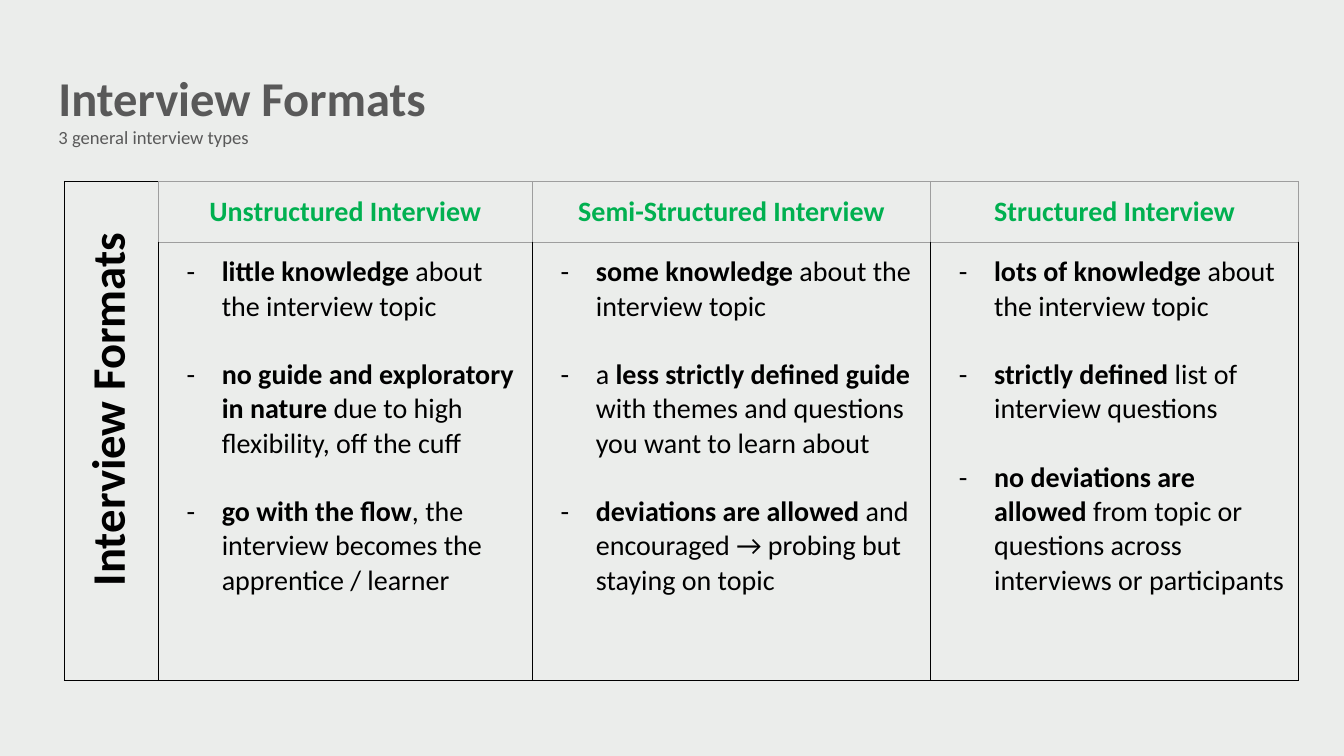
from dataclasses import dataclass

from lxml.etree import SubElement
from pptx import Presentation
from pptx.dml.color import RGBColor
from pptx.enum.text import MSO_ANCHOR, PP_ALIGN
from pptx.oxml.ns import qn
from pptx.util import Pt

PX = 9144  # EMU in one px, 100 px to the inch
GREY, BLACK, GREEN, TITLE = "9E9E9E", "000000", "00B050", "595959"
PAD = 13
GAP = 24.4  # one line of 20 pt text


@dataclass
class Column:
    width: int
    head: str
    points: list[str]  # bold parts stand between asterisks


COLUMNS = [
    Column(371, "Unstructured Interview", [
        "*little knowledge* about the interview topic",
        "*no guide and exploratory in nature* due to high flexibility, off the cuff",
        "*go with the flow*, the interview becomes the apprentice / learner",
    ]),
    Column(395, "Semi-Structured Interview", [
        "*some knowledge* about the interview topic",
        "a *less strictly defined guide* with themes and questions you want to learn about",
        "*deviations are allowed* and encouraged → probing but staying on topic",
    ]),
    Column(365, "Structured Interview", [
        "*lots of knowledge* about the interview topic",
        "*strictly defined* list of interview questions",
        "*no deviations are allowed *from topic or questions across interviews or participants",
    ]),
]


def px(count: int) -> int:
    return count * PX


def tint(code: str) -> RGBColor:
    return RGBColor.from_string(code)


def write(frame, text: str, size: float = 20, color: str = BLACK, first: bool = True,
          align=PP_ALIGN.LEFT, bullet: bool = False, before: float = 0) -> None:
    """Write one paragraph; text between asterisks is bold."""
    para = frame.paragraphs[0] if first else frame.add_paragraph()
    para.alignment = align
    para.space_before = Pt(before)
    if bullet:
        props = para._p.get_or_add_pPr()
        props.set("marL", str(px(50)))
        props.set("indent", str(px(-35)))
        SubElement(props, qn("a:buFont"), typeface="Calibri")
        SubElement(props, qn("a:buChar"), char="-")
    for index, part in enumerate(text.split("*")):
        if part:
            run = para.add_run()
            run.text = part
            run.font.name = "Calibri"
            run.font.size = Pt(size)
            run.font.bold = index % 2 == 1
            run.font.color.rgb = tint(color)


def pad(frame, side: int, end: int) -> None:
    frame.margin_left = frame.margin_right = px(side)
    frame.margin_top = frame.margin_bottom = px(end)


def add_box(slide, left: int, top: int, width: int, height: int, end: int = PAD):
    box = slide.shapes.add_textbox(px(left), px(top), px(width), px(height))
    box.text_frame.word_wrap = True
    pad(box.text_frame, PAD, end)
    return box


def style(cell, left: str, right: str, top: str, base: str) -> None:
    """Border a cell in the four colours and leave it unfilled."""
    props = cell._tc.get_or_add_tcPr()
    for side, color in zip("LRTB", (left, right, top, base)):
        width = Pt(0.75 if color == GREY else 1)
        line = SubElement(props, qn(f"a:ln{side}"), w=str(width))
        SubElement(SubElement(line, qn("a:solidFill")), qn("a:srgbClr"), val=color)
    cell.fill.background()


def add_grid(slide) -> None:
    widths = [93] + [col.width for col in COLUMNS]
    heights = [60, 435]
    table = slide.shapes.add_table(len(heights), len(widths), px(64), px(180),
                                   px(sum(widths)), px(sum(heights))).table
    table.first_row = table.horz_banding = False
    for col, width in zip(table.columns, widths):
        col.width = px(width)
    for row, height in zip(table.rows, heights):
        row.height = px(height)

    # Side cell across both rows
    style(table.cell(0, 0), BLACK, GREY, BLACK, BLACK)
    style(table.cell(1, 0), BLACK, BLACK, GREY, BLACK)
    table.cell(0, 0).merge(table.cell(1, 0))

    # Headings and points
    for index, col in enumerate(COLUMNS, 1):
        head, body = table.cell(0, index), table.cell(1, index)
        style(head, GREY, GREY, GREY, GREY)
        style(body, BLACK, BLACK, GREY, BLACK)
        for cell in (head, body):
            pad(cell, PAD, PAD)
        write(head.text_frame, f"*{col.head}*", color=GREEN, align=PP_ALIGN.CENTER)
        for spot, point in enumerate(col.points):
            write(body.text_frame, point, first=spot == 0, bullet=True,
                  before=GAP if spot else 0)


def main() -> None:
    deck = Presentation()
    deck.slide_width, deck.slide_height = px(1333), px(750)
    slide = deck.slides.add_slide(deck.slide_layouts[6])
    slide.background.fill.solid()
    slide.background.fill.fore_color.rgb = tint("EBEDEB")

    add_grid(slide)

    # Upright label
    label = add_box(slide, -112, 337, 434, 81)
    label.rotation = 270
    write(label.text_frame, "*Interview Formats*", size=33.3)

    # Title and subtitle
    title = add_box(slide, 45, 65, 1242, 84, end=7).text_frame
    title.vertical_anchor = MSO_ANCHOR.MIDDLE
    write(title, "*Interview Formats*", size=34.7, color=TITLE)
    write(title, "3 general interview types", size=13.3, color=TITLE, first=False)

    deck.save("out.pptx")


if __name__ == "__main__":
    main()
